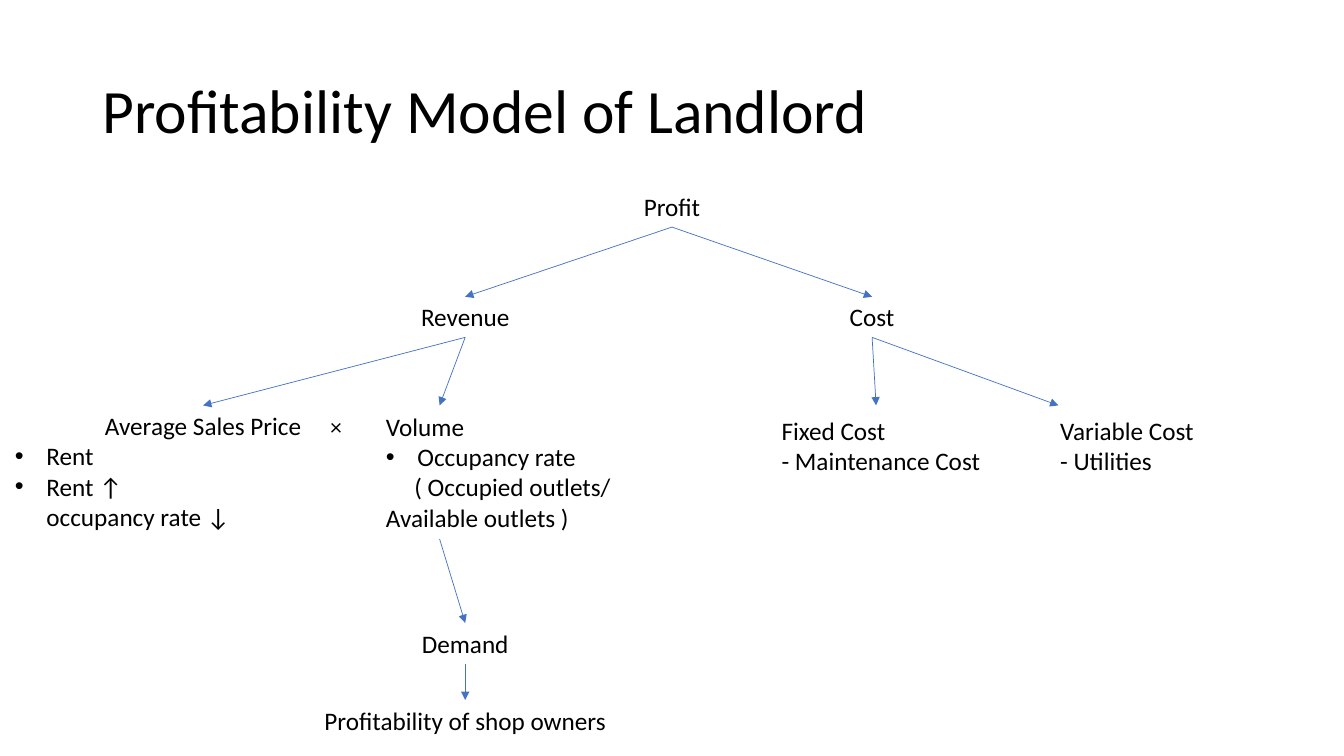
from lxml import etree
from pptx import Presentation
from pptx import util as u
from pptx.dml.color import RGBColor
from pptx.enum import shapes, text
from pptx.oxml.ns import qn

BLACK = RGBColor(0x00, 0x00, 0x00)
BLUE = RGBColor(0x44, 0x72, 0xC4)
CENTER, LEFT = text.PP_ALIGN.CENTER, text.PP_ALIGN.LEFT
BULLET_INDENT = 22.5
CONTINUATION_INDENT = 20.35


def add_text(slide, box, lines, size=18, font="Calibri", anchor=text.MSO_ANCHOR.TOP, spacing=1.0):
    shape = slide.shapes.add_textbox(*[u.Pt(value) for value in box])
    frame = shape.text_frame
    for name, value in {"word_wrap": True, "vertical_anchor": anchor}.items():
        setattr(frame, name, value)
    for number, (content, alignment, style) in enumerate(lines):
        paragraph = frame.add_paragraph() if number else frame.paragraphs[0]
        paragraph.text = content
        for name, value in {"alignment": alignment, "line_spacing": spacing}.items():
            setattr(paragraph, name, value)
        properties = paragraph._p.get_or_add_pPr()
        if style == "bullet":
            properties.set("marL", str(u.Pt(BULLET_INDENT)))
            properties.set("indent", str(-u.Pt(BULLET_INDENT)))
            etree.SubElement(properties, qn("a:buFont"), typeface="Arial")
            etree.SubElement(properties, qn("a:buChar"), char="•")
        elif style == "continuation":
            properties.set("indent", str(u.Pt(CONTINUATION_INDENT)))
        for run in paragraph.runs:
            for name, value in {"size": u.Pt(size), "name": font}.items():
                setattr(run.font, name, value)
            run.font.color.rgb = BLACK
    return shape


def add_arrow(slide, start, end):
    points = [point if isinstance(point, tuple) else (0, 0) for point in (start, end)]
    arrow = slide.shapes.add_connector(
        shapes.MSO_CONNECTOR.STRAIGHT, *[u.Pt(value) for point in points for value in point])
    if not isinstance(start, tuple):
        arrow.begin_connect(start, 2)
    if not isinstance(end, tuple):
        arrow.end_connect(end, 0)
    arrow.line.color.rgb = BLUE
    arrow.line.width = u.Pt(0.5)
    etree.SubElement(arrow.line._get_or_add_ln(), qn("a:tailEnd"), type="triangle")
    etree.SubElement(arrow._element.spPr, qn("a:effectLst"))


presentation = Presentation()
presentation.slide_width, presentation.slide_height = u.Pt(960), u.Pt(540)
slide = presentation.slides.add_slide(presentation.slide_layouts[6])

add_text(slide, (66, 28.8, 828, 104.4), [("Profitability Model of Landlord", LEFT, None)],
         size=44, anchor=text.MSO_ANCHOR.MIDDLE, spacing=0.9)

nodes = {}
for label, box in [
    ("Profit", (432, 133.2, 96, 29)),
    ("Revenue", (237.6, 212, 189.4, 29)),
    ("Cost", (523.6, 212, 198.7, 29)),
    ("Demand", (290.9, 445, 82.8, 29)),
    ("Profitability of shop owners", (185.5, 500, 293.6, 29)),
]:
    nodes[label] = add_text(slide, box, [(label, CENTER, None)])

for name, box, lines in [
    ("Price", (3.6, 289.6, 283, 176.4), [
        ("Average Sales Price", CENTER, None),
        ("Rent", LEFT, "bullet"),
        ("Rent ↑ \voccupancy rate ↓", LEFT, "bullet")]),
    ("Volume", (268.6, 290.2, 187.2, 94.5), [
        ("Volume", LEFT, None),
        ("Occupancy rate", LEFT, "bullet"),
        ("( Occupied outlets/ Available outlets )", LEFT, "continuation")]),
    ("Fixed Cost", (551.2, 293, 184.3, 51), [
        ("Fixed Cost", LEFT, None), ("- Maintenance Cost", LEFT, None)]),
    ("Variable Cost", (750.2, 293, 173.5, 51), [
        ("Variable Cost", LEFT, None), ("- Utilities", LEFT, None)]),
]:
    nodes[name] = add_text(slide, box, lines)

add_text(slide, (217.4, 289.6, 45.4, 44), [("×", CENTER, None)], font="Cambria")

for start, end in [
    (nodes["Profit"], nodes["Revenue"]),
    (nodes["Profit"], nodes["Cost"]),
    (nodes["Revenue"], nodes["Price"]),
    (nodes["Revenue"], (314, 289.6)),
    (nodes["Cost"], (625.8, 289.6)),
    (nodes["Cost"], (756, 289.6)),
    ((314, 385), nodes["Demand"]),
    (nodes["Demand"], nodes["Profitability of shop owners"]),
]:
    add_arrow(slide, start, end)

presentation.save("out.pptx")
